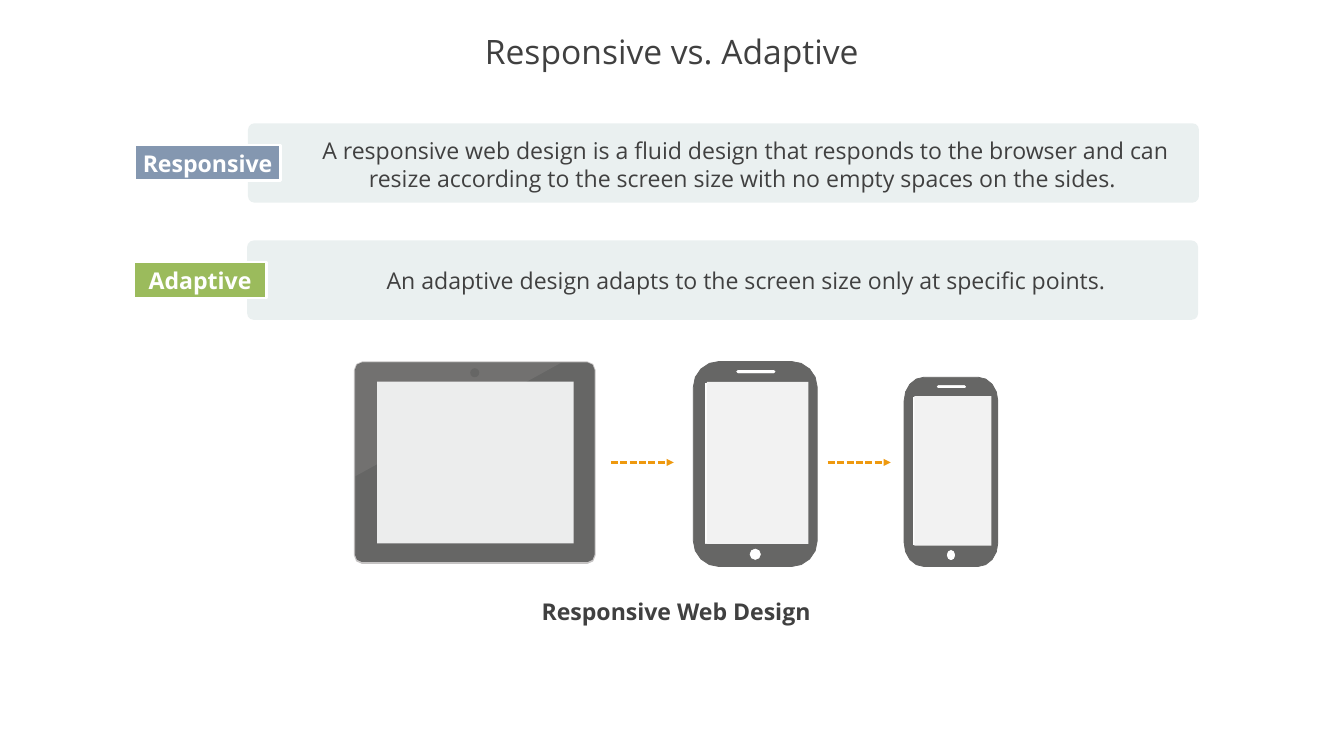
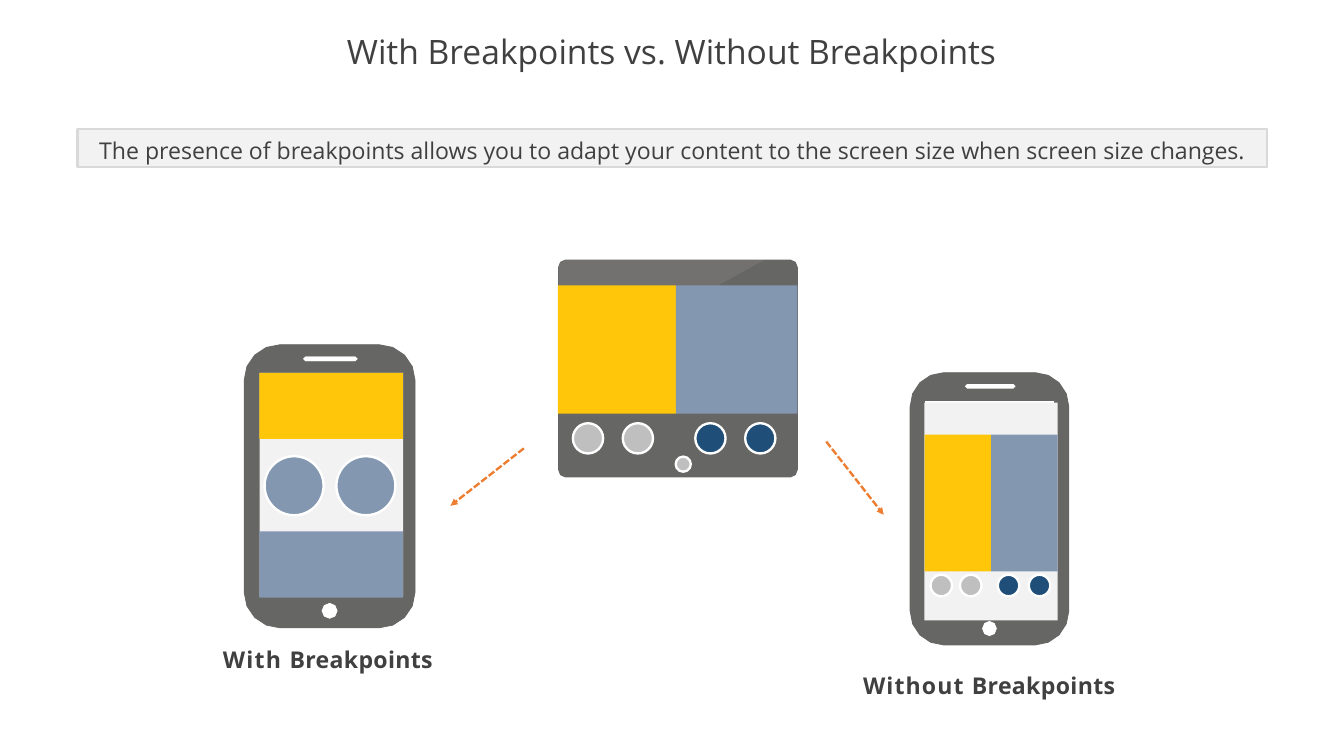
from math import cos, pi, sin

from lxml.etree import SubElement
from pptx import Presentation
from pptx.dml.color import RGBColor as Rgb
from pptx.enum.shapes import MSO_CONNECTOR as Link, MSO_SHAPE as Kind
from pptx.enum.dml import MSO_LINE as Dash
from pptx.enum.text import MSO_ANCHOR as Anchor, MSO_AUTO_SIZE as Fit, PP_ALIGN as Align
from pptx.oxml.ns import qn
from pptx.util import Pt

FONT = "Open Sans"
WIDE, HIGH = 1280.16, 720
HUES = {
    "ink": "404040", "white": "FFFFFF", "body": "666665", "rim": "C5C3C3",
    "glare": "DCDADA", "glass": "F2F2F2", "pane": "ECEDED", "band": "EAF0F0",
    "edge": "D9D9D9", "blue": "8497B0", "green": "9BBB5C", "gold": "FFC60A",
    "gray": "BFBFBF", "navy": "1F4E79", "amber": "EE990F", "orange": "ED7D31",
}


def tint(name):
    """Return the colour of that name."""
    return Rgb.from_string(HUES[name])


def paint(shape, fill, line=None, thick=2.25):
    """Set fill and outline, and drop the shadow."""
    shape.shadow.inherit = False
    shape.fill.solid()
    shape.fill.fore_color.rgb = tint(fill)
    if line:
        shape.line.color.rgb = tint(line)
        shape.line.width = Pt(thick)
    else:
        shape.line.fill.background()
    return shape


def block(slide, box, fill, line=None, kind=Kind.RECTANGLE):
    """Add a painted preset shape."""
    return paint(slide.shapes.add_shape(kind, *map(Pt, box)), fill, line)


def write(shape, runs, size=22, hue="ink", bold=False, align=Align.CENTER,
          anchor=Anchor.MIDDLE, wrap=True, pitch=None, inset=None):
    """Fill a shape with one paragraph of (text, letter spacing) runs."""
    frame = shape.text_frame
    frame.auto_size, frame.word_wrap = Fit.NONE, wrap
    frame.vertical_anchor = anchor
    if inset is not None:
        frame.margin_left = frame.margin_right = Pt(inset)
        frame.margin_top = frame.margin_bottom = Pt(inset)
    para = frame.paragraphs[0]
    para.alignment = align
    if pitch:
        para.line_spacing = pitch
    for text, space in runs:
        run = para.add_run()
        run.text = text
        font = run.font
        font.name, font.size, font.bold = FONT, Pt(size), bold
        font.color.rgb = tint(hue)
        if space:
            run._r.get_or_add_rPr().set("spc", str(round(space * 100)))


def label(slide, box, runs, align=Align.LEFT):
    """Add a bold caption without insets."""
    text = slide.shapes.add_textbox(*map(Pt, box))
    write(text, runs, bold=True, align=align, anchor=Anchor.TOP, inset=0)


def arc(cx, cy, rx, ry, start, steps):
    """Return the points of a quarter turn from the start angle."""
    turns = [start + pi / 2 * step / max(steps, 1) for step in range(steps + 1)]
    return [(cx + rx * cos(turn), cy + ry * sin(turn)) for turn in turns]


def ring(box, rx, ry, steps):
    """Return the outline of a box with rounded corners."""
    x, y, w, h = box
    left, right, top, low = x + rx, x + w - rx, y + ry, y + h - ry
    hubs = [(left, top), (right, top), (right, low), (left, low)]
    return [spot for i, (cx, cy) in enumerate(hubs)
            for spot in arc(cx, cy, rx, ry, pi + i * pi / 2, steps)]


def trace(slide, rings, fill, line=None):
    """Add a freeform whose inner rings are holes."""
    rings = [[(Pt(x), Pt(y)) for x, y in spots] for spots in rings]
    maker = slide.shapes.build_freeform(*rings[0][0])
    for i, spots in enumerate(rings):
        if i:
            maker.move_to(*spots[0])
        maker.add_line_segments(spots[1:], close=True)
    return paint(maker.convert_to_shape(), fill, line, 0)


def part(box, share):
    """Return the box that takes the given shares of another box."""
    x, y, w, h = box
    left, top, wide, high = share
    return x + left * w, y + top * h, wide * w, high * h


def phone(slide, box, glass):
    """Draw a phone with speaker, button and screen."""
    w, h = box[2:]
    slot = part(box, (0.34, 0.04, 0.33, 0.02))
    knob = part(box, (0.45, 0.91, 0.1, 0.06))
    hole = part(box, (0.09, 0.1, 0.82, 0.79))
    trace(slide, [
        ring(box, 0.21 * w, 0.125 * h, 4),
        ring(slot, slot[3] / 2, slot[3] / 2, 1),
        ring(knob, knob[2] / 2, knob[3] / 2, 2),
        ring(hole, 0, 0, 0),
    ], "body", "body")
    block(slide, part(box, glass), "glass")


def slab(slide, box):
    """Draw a tablet body with a glare across its top left corner."""
    x, y = box[:2]
    trace(slide, [ring(box, 6.5, 7, 2)], "body", "body")
    spots = arc(x + 6.5, y + 7, 6.5, 7, pi, 2) + [(x + 195.8, y), (x, y + 108)]
    glare = trace(slide, [spots], "glare")
    color = glare._element.spPr.find(qn("a:solidFill"))[0]
    SubElement(color, qn("a:alpha")).set("val", "10000")


def arrow(slide, start, end, hue):
    """Draw a dashed arrow."""
    line = slide.shapes.add_connector(Link.STRAIGHT, *map(Pt, start + end))
    line.line.color.rgb = tint(hue)
    line.line.width = Pt(2.25)
    line.line.dash_style = Dash.SQUARE_DOT
    SubElement(line.line._get_or_add_ln(), qn("a:tailEnd")).set("type", "triangle")
    SubElement(line._element.spPr, qn("a:effectLst"))


def banner(slide, box, tag, note, hue, wide, shift, drop):
    """Draw a pale band with its note and a tag over the left end."""
    x, y, w, h = box
    band = block(slide, box, "band", kind=Kind.ROUNDED_RECTANGLE)
    band.adjustments[0] = 0.083
    text = slide.shapes.add_textbox(
        *map(Pt, (x + shift, y + drop, 864, h - 2 * drop)))
    write(text, [(note, 0)], anchor=Anchor.TOP)
    chip = block(slide, (x - 108, y + 20.8, wide, 33.8), hue, "white")
    write(chip, [(tag, 0)], hue="white", bold=True, wrap=False)


def dots(slide, x, y, size, steps):
    """Draw two gray and two navy dots in a row."""
    for step, hue in zip(steps, ("gray", "gray", "navy", "navy")):
        block(slide, (x + step, y, size, size), hue, "white", Kind.OVAL)


def halves(slide, x, y, left, right, h):
    """Draw a gold and a blue panel side by side."""
    block(slide, (x, y, left, h), "gold")
    block(slide, (x + left, y, right, h), "blue")


def tablet(slide, box):
    """Draw a tablet with rim, camera and empty screen."""
    x, y, w, h = box
    trace(slide, [ring(box, 8, 8.5, 2)], "rim")
    slab(slide, (x + 1.4, y + 1.4, w - 2.8, h - 3.6))
    block(slide, (x + 110.9, y + 6.5, 8.6, 8.6), "body", kind=Kind.OVAL)
    block(slide, (x + 22.3, y + 19.2, 187.2, 154.1), "pane")


def board(slide, box):
    """Draw the tablet with two panels and a row of dots."""
    x, y = box[:2]
    slab(slide, box)
    halves(slide, x - 0.6, y + 24, 112.3, 115.9, 122.4)
    dots(slide, x, y + 155.4, 28.8, (13.7, 61.2, 130.3, 177.8))
    block(slide, (x + 111.6, y + 187.2, 14.4, 14.4), "gray", "white", Kind.OVAL)


def stacked(slide, box):
    """Draw the phone whose content is rearranged."""
    x, y = box[:2]
    phone(slide, box, (0.09, 0.1, 0.84, 0.79))
    for top, hue in ((26.7, "gold"), (177.8, "blue")):
        block(slide, (x + 14.4, y + top, 136.8, 63), hue)
    for step in (19.4, 87.8):
        block(slide, (x + step, y + 106.2, 56.2, 56.2), "blue", "white", Kind.OVAL)


def shrunk(slide, box):
    """Draw the phone whose content is only scaled down."""
    x, y = box[:2]
    phone(slide, box, (0.09, 0.11, 0.84, 0.8))
    halves(slide, x + 13.7, y + 59, 63.4, 63.4, 130.3)
    dots(slide, x, y + 192.4, 20.5, (19.4, 47.5, 83.5, 113))


def start(deck, title):
    """Add a slide with its centred title."""
    slide = deck.slides.add_slide(deck.slide_layouts[5])
    head = slide.shapes.title
    head.left, head.top, head.width, head.height = map(Pt, (0, 25.2, WIDE, 52.6))
    write(head, [(title, 0)], size=32, pitch=0.9)
    return slide


def compare(deck):
    """Build the slide on responsive and adaptive design."""
    slide = start(deck, "Responsive vs. Adaptive")
    label(slide, (508.3, 568.8, 271.4, 26.6), [("Responsive Web Design", 0)],
          Align.CENTER)
    tablet(slide, (337, 344.2, 230.4, 192.9))
    for box in ((660.4, 344.2, 118, 195.4), (861.2, 359.3, 89.3, 180.2)):
        phone(slide, box, (0.11, 0.1, 0.82, 0.79))
    for x in (581.8, 788.4):
        arrow(slide, (x, 440.4), (x + 60, 440.4), "amber")
    banner(slide, (236.2, 117.4, 905.8, 75.6), "Responsive",
           "A responsive web design is a fluid design that responds to the browser "
           "and can resize according to the screen size with no empty spaces on the sides. ",
           "blue", 139, 41.8, 9.4)
    banner(slide, (235.4, 229, 905.8, 75.6), "Adaptive",
           "An adaptive design adapts to the screen size only at specific points.",
           "green", 126.4, 43.2, 20.8)


def breaks(deck):
    """Build the slide on breakpoints."""
    slide = start(deck, "With Breakpoints vs. Without Breakpoints")
    note = block(slide, (74, 123, 1132.6, 36), "glass", "edge")
    write(note, [("The presence of breakpoints allows you to adapt your content "
                  "to the screen size when screen size changes.", 0)],
          anchor=Anchor.TOP, pitch=Pt(30))
    label(slide, (212.4, 614.9, 204.5, 26.6), [("With ", 1.15), ("Breakpoints", 0.35)])
    stacked(slide, (232.6, 328.3, 162.7, 269.6))
    board(slide, (532, 247.7, 227.5, 206.6))
    label(slide, (822.2, 639.4, 242.6, 26.6),
          [("Without ", 1.05), ("Breakpoints", 0.35)])
    shrunk(slide, (866.9, 355, 151.2, 259.2))
    arrow(slide, (499, 427), (429.1, 481.7), "orange")
    arrow(slide, (787, 420.5), (841.7, 490.3), "orange")


def main():
    """Build and save the deck."""
    deck = Presentation()
    deck.slide_width, deck.slide_height = Pt(WIDE), Pt(HIGH)
    compare(deck)
    breaks(deck)
    deck.save("out.pptx")


if __name__ == "__main__":
    main()
